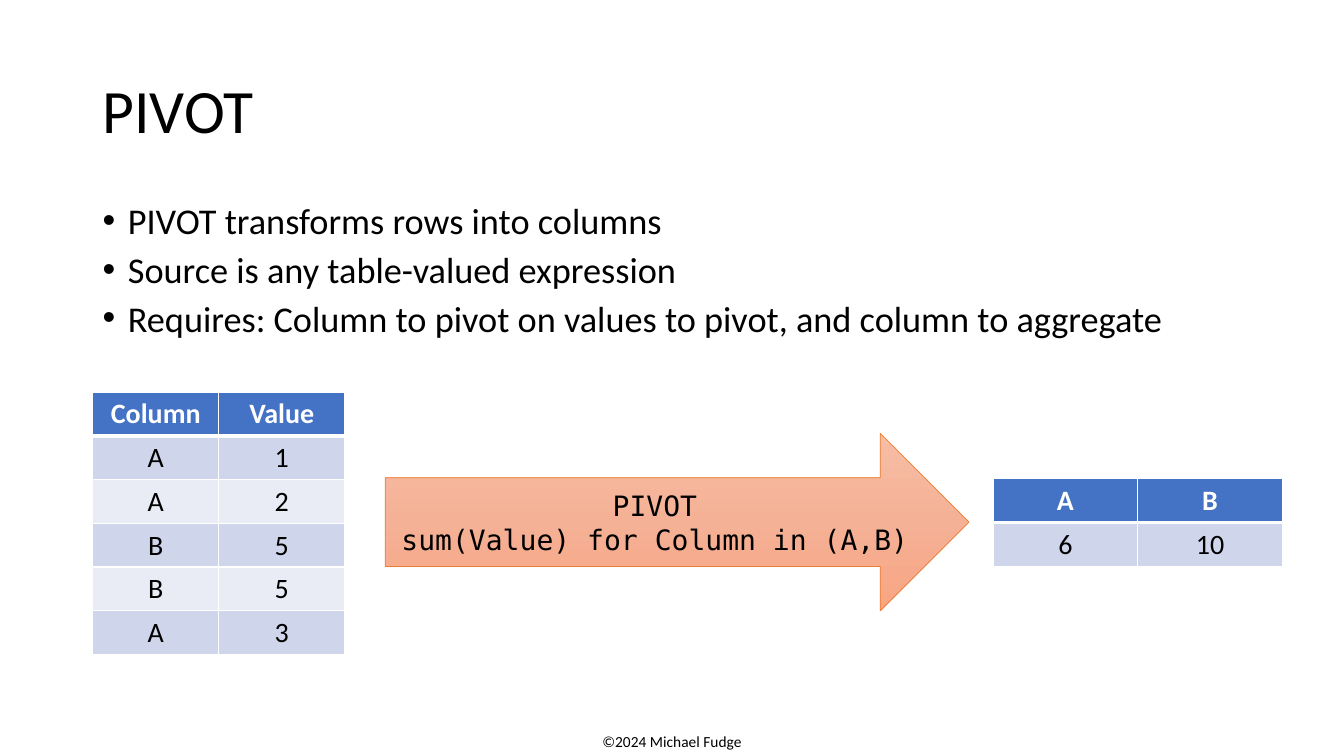
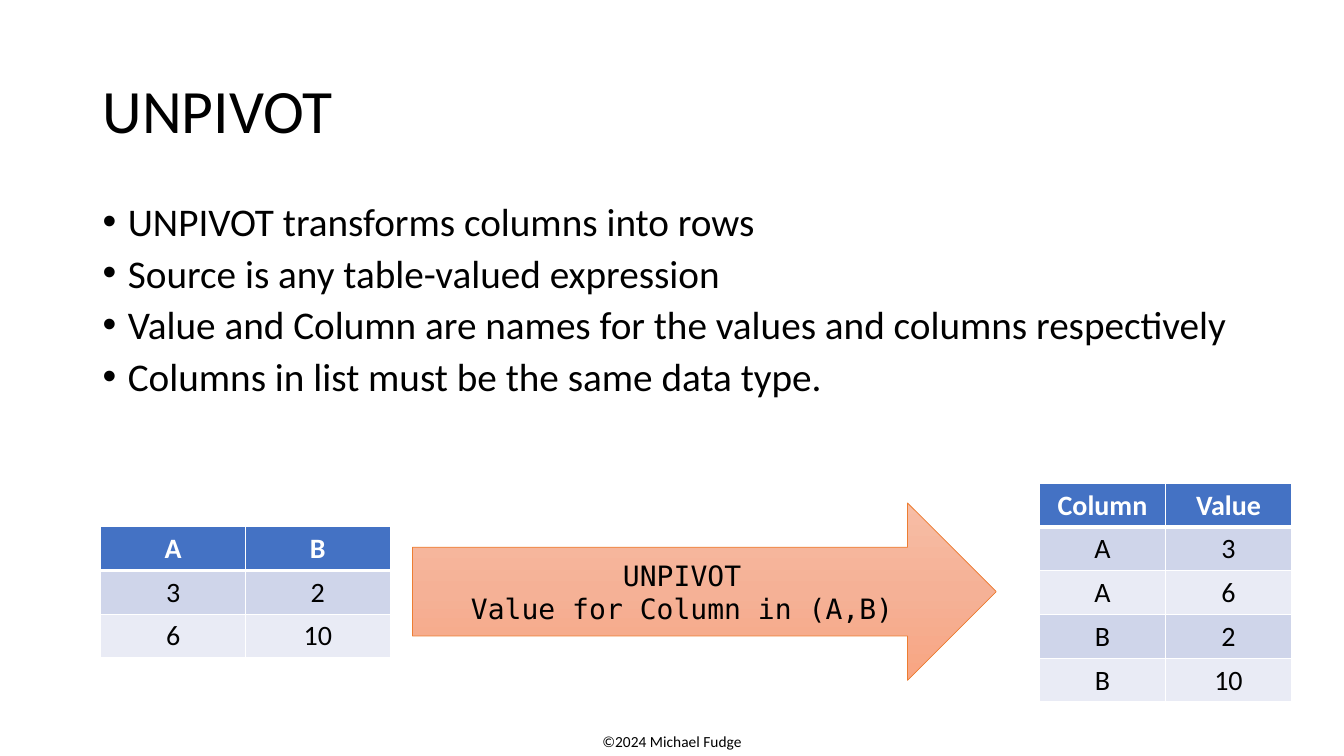
from dataclasses import dataclass

from lxml import etree
from pptx import Presentation
from pptx.dml.color import RGBColor
from pptx.enum.shapes import MSO_SHAPE
from pptx.enum.text import MSO_ANCHOR, PP_ALIGN
from pptx.oxml.ns import qn
from pptx.slide import Slide
from pptx.text.text import TextFrame
from pptx.util import Inches, Pt

LEFT, CENTER = PP_ALIGN.LEFT, PP_ALIGN.CENTER
TOP, MIDDLE = MSO_ANCHOR.TOP, MSO_ANCHOR.MIDDLE
ARROW = MSO_SHAPE.RIGHT_ARROW


@dataclass(frozen=True)
class Theme:
    sans: str = "Calibri"
    mono: str = "DejaVu Sans Mono"
    ink: str = "000000"
    paper: str = "FFFFFF"
    head: str = "4472C4"
    bands: tuple[str, str] = ("CFD5EA", "E9EBF5")
    blend: tuple[str, ...] = ("F7BDA5", "F5B196", "F8A582")
    edge: str = "ED7D31"
    title: float = 44
    label: float = 20
    small: float = 11
    thin: float = 1
    thick: float = 3


@dataclass(frozen=True)
class Grid:
    left: float
    width: float
    rows: tuple[tuple[str, ...], ...]


@dataclass(frozen=True)
class Page:
    title: str
    points: tuple[str, ...]
    size: float
    depth: float  # height of the bullet box
    axis: float  # height on which tables and arrow are centred
    source: Grid
    start: float  # left end of the arrow
    query: str
    result: Grid


THEME = Theme()
MARGIN = 0.92
ROW = 0.43
ARROW_W, ARROW_H = 5.79, 1.76
FOOTER = "©2024 Michael Fudge"

PAGES = (
    Page(
        title="PIVOT",
        points=(
            "PIVOT transforms rows into columns",
            "Source is any table-valued expression",
            "Requires: Column to pivot on values to pivot, and column to aggregate",
        ),
        size=25.9,
        depth=1.45,
        axis=5.18,
        source=Grid(MARGIN, 2.5, (("Column", "Value"), ("A", "1"), ("A", "2"),
                                  ("B", "5"), ("B", "5"), ("A", "3"))),
        start=3.82,
        query="PIVOT\vsum(Value) for Column in (A,B)",
        result=Grid(9.85, 2.87, (("A", "B"), ("6", "10"))),
    ),
    Page(
        title="UNPIVOT",
        points=(
            "UNPIVOT transforms columns into rows",
            "Source is any table-valued expression",
            "Value and Column are names for the values and columns respectively",
            "Columns in list must be the same data type.",
        ),
        size=28,
        depth=2.17,
        axis=5.87,
        source=Grid(1, 2.87, (("A", "B"), ("3", "2"), ("6", "10"))),
        start=4.09,
        query="UNPIVOT\vValue for Column in (A,B)",
        result=Grid(10.31, 2.5, (("Column", "Value"), ("A", "3"), ("A", "6"),
                                 ("B", "2"), ("B", "10"))),
    ),
)


# Text
def put(frame: TextFrame, text: str, *, size: float, font: str = THEME.sans,
        color: str = THEME.ink, bold: bool = False, align: PP_ALIGN = LEFT,
        anchor: MSO_ANCHOR = TOP, lead: float = 1, before: float = 0,
        bullet: bool = False) -> None:
    """Fill a frame; a newline starts a paragraph, a vertical tab a line."""
    frame.word_wrap = True
    frame.vertical_anchor = anchor
    for i, line in enumerate(text.split("\n")):
        para = frame.add_paragraph() if i else frame.paragraphs[0]
        para.text = line
        para.alignment = align
        para.line_spacing = lead
        para.space_before = Pt(before)
        if bullet:
            props = para._p.get_or_add_pPr()
            props.set("marL", str(Inches(0.25)))
            props.set("indent", str(Inches(-0.25)))
            etree.SubElement(props, qn("a:buFont")).set("typeface", "Arial")
            etree.SubElement(props, qn("a:buChar")).set("char", "•")
        for run in para.runs:
            run.font.name = font
            run.font.size = Pt(size)
            run.font.bold = bold
            run.font.color.rgb = RGBColor.from_string(color)


def add_box(slide: Slide, left: float, top: float, width: float,
            height: float) -> TextFrame:
    box = slide.shapes.add_textbox(
        Inches(left), Inches(top), Inches(width), Inches(height))
    return box.text_frame


# Tables
def add_rule(cell, side: str, width: float) -> None:
    line = etree.SubElement(cell._tc.get_or_add_tcPr(), qn(f"a:ln{side}"))
    line.set("w", str(Pt(width)))
    fill = etree.SubElement(line, qn("a:solidFill"))
    etree.SubElement(fill, qn("a:srgbClr")).set("val", THEME.paper)


def add_grid(slide: Slide, grid: Grid, axis: float) -> None:
    count, cols = len(grid.rows), len(grid.rows[0])
    height = count * ROW
    table = slide.shapes.add_table(
        count, cols, Inches(grid.left), Inches(axis - height / 2),
        Inches(grid.width), Inches(height)).table
    for r, row in enumerate(grid.rows):
        head = r == 0
        tint = THEME.head if head else THEME.bands[(r - 1) % 2]
        # The edge under the header is the only thick one
        heavy = {0: "B", 1: "T"}.get(r)
        for c, text in enumerate(row):
            cell = table.cell(r, c)
            for side in "LRTB":
                add_rule(cell, side, THEME.thick if side == heavy else THEME.thin)
            cell.fill.solid()
            cell.fill.fore_color.rgb = RGBColor.from_string(tint)
            put(cell.text_frame, text, size=THEME.label, bold=head, align=CENTER,
                color=THEME.paper if head else THEME.ink)


# Arrow
def add_arrow(slide: Slide, left: float, axis: float, text: str) -> None:
    arrow = slide.shapes.add_shape(
        ARROW, Inches(left), Inches(axis - ARROW_H / 2),
        Inches(ARROW_W), Inches(ARROW_H))
    arrow.shadow.inherit = False
    arrow.fill.gradient()
    arrow.fill.gradient_angle = 270
    stops = arrow.element.spPr.find(qn("a:gradFill")).find(qn("a:gsLst"))
    stops.clear()
    for i, color in enumerate(THEME.blend):
        stop = etree.SubElement(stops, qn("a:gs"))
        stop.set("pos", str(i * 50000))
        etree.SubElement(stop, qn("a:srgbClr")).set("val", color)
    arrow.line.color.rgb = RGBColor.from_string(THEME.edge)
    arrow.line.width = Pt(0.5)
    put(arrow.text_frame, text, size=THEME.label, font=THEME.mono,
        align=CENTER, anchor=MIDDLE)


# Slides
def add_page(slide: Slide, page: Page) -> None:
    put(add_box(slide, 5.67, 7.21, 1.99, 0.29), FOOTER,
        size=THEME.small, align=CENTER)
    put(add_box(slide, MARGIN, 0.4, 11.5, 1.45), page.title,
        size=THEME.title, anchor=MIDDLE, lead=0.9)
    put(add_box(slide, MARGIN, 2, 11.89, page.depth), "\n".join(page.points),
        size=page.size, lead=0.8, before=10, bullet=True)
    add_grid(slide, page.source, page.axis)
    add_arrow(slide, page.start, page.axis, page.query)
    add_grid(slide, page.result, page.axis)


def main() -> None:
    deck = Presentation()
    deck.slide_width, deck.slide_height = Inches(13.33), Inches(7.5)
    blank = deck.slide_layouts[6]
    for page in PAGES:
        add_page(deck.slides.add_slide(blank), page)
    deck.save("out.pptx")


if __name__ == "__main__":
    main()
